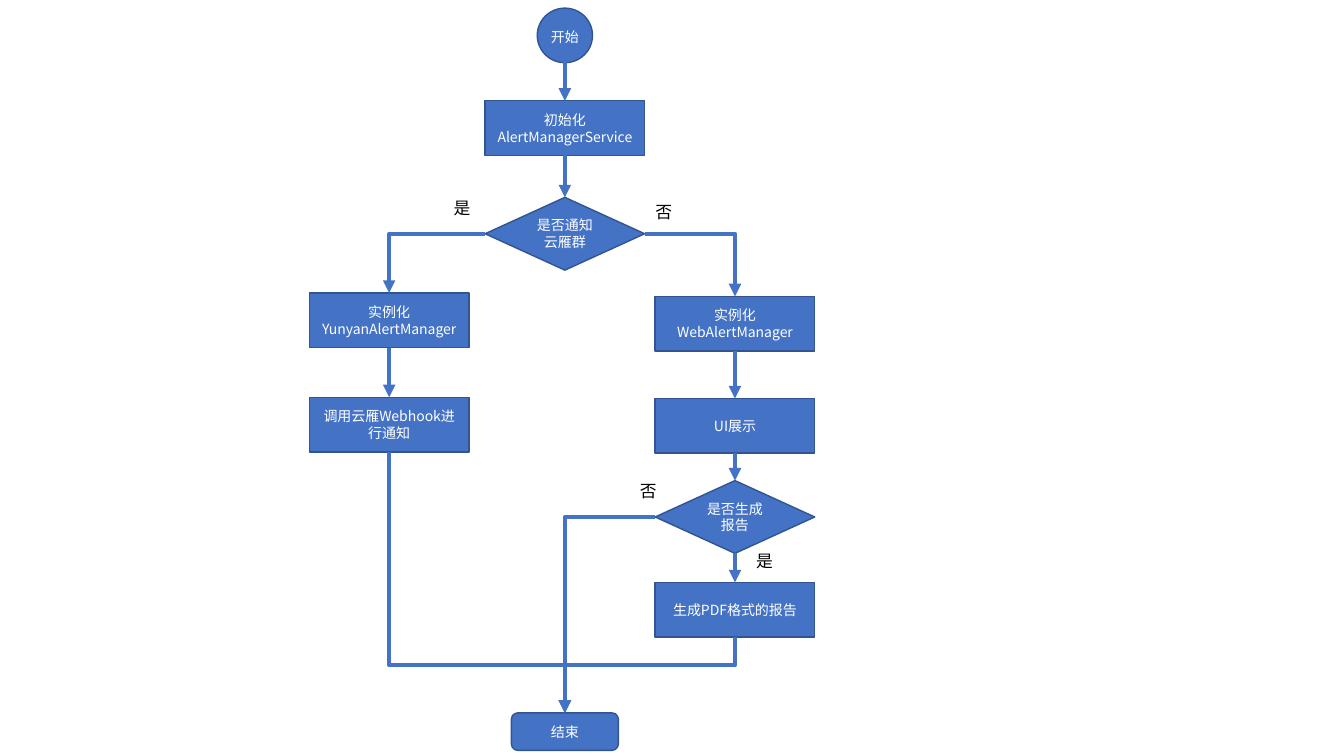
from lxml.etree import SubElement
from pptx import Presentation
from pptx.dml.color import RGBColor
from pptx.enum.shapes import MSO_CONNECTOR, MSO_SHAPE
from pptx.enum.text import MSO_ANCHOR, MSO_AUTO_SIZE, PP_ALIGN
from pptx.oxml.ns import qn
from pptx.util import Pt

TOP, LEFT, BOTTOM, RIGHT = range(4)
LEFT_COLUMN, MIDDLE_COLUMN, RIGHT_COLUMN = 278, 403.5, 525
MERGE_Y = 475.2


def color(hex_string):
    return RGBColor.from_string(hex_string)


class FlowPage:
    font_name = "Noto Sans CJK SC"
    fill, outline = "4472C4", "325491"
    white, black = "FFFFFF", "000000"

    def __init__(self, page):
        self.shapes = page.shapes

    def set_text(self, frame, text, size, ink, align):
        frame.word_wrap = True
        para = frame.paragraphs[0]
        para.text = text
        para.alignment = align
        para.font.name = self.font_name
        para.font.size = Pt(size)
        para.font.color.rgb = color(ink)
        defaults = para._p.pPr.find(qn("a:defRPr"))
        SubElement(defaults, qn("a:ea"), typeface=self.font_name)

    def node(self, kind, center, top, width, height, text=""):
        """Add a flowchart shape centred on a column."""
        box = self.shapes.add_shape(kind, Pt(center - width / 2), Pt(top), Pt(width), Pt(height))
        box.shadow.inherit = False
        box.fill.solid()
        box.fill.fore_color.rgb = color(self.fill)
        box.line.color.rgb = color(self.outline)
        box.line.width = Pt(1)
        if text:
            box.text_frame.vertical_anchor = MSO_ANCHOR.MIDDLE
            self.set_text(box.text_frame, text, 10, self.white, PP_ALIGN.CENTER)
        return box

    def step(self, center, top, text):
        return self.node(MSO_SHAPE.RECTANGLE, center, top, 114, 39, text)

    def decision(self, center, top, text):
        return self.node(MSO_SHAPE.FLOWCHART_DECISION, center, top, 114, 52, text)

    def label(self, left, top, width, height, text, size=12, ink=black, align=PP_ALIGN.LEFT):
        box = self.shapes.add_textbox(Pt(left), Pt(top), Pt(width), Pt(height))
        self.set_text(box.text_frame, text, size, ink, align)
        box.text_frame.auto_size = MSO_AUTO_SIZE.SHAPE_TO_FIT_TEXT

    def connector(self, kind, begin=(0, 0)):
        link = self.shapes.add_connector(kind, *map(Pt, begin), *map(Pt, begin))
        link.line.color.rgb = color(self.fill)
        link.line.width = Pt(3)
        properties = link.element.spPr
        SubElement(properties.find(qn("a:ln")), qn("a:tailEnd"), type="triangle")
        SubElement(properties, qn("a:effectLst"))
        return link

    def arrow_down(self, source, target):
        link = self.connector(MSO_CONNECTOR.STRAIGHT)
        link.begin_connect(source, BOTTOM)
        link.end_connect(target, TOP)

    def arrow_across(self, source, side, target):
        """Leave sideways, turn once and enter the target from above."""
        link = self.connector(MSO_CONNECTOR.ELBOW)
        link.begin_connect(source, side)
        link.end_connect(target, TOP)
        link.element.spPr.find(qn("a:prstGeom")).set("prst", "bentConnector2")

    def arrow_merge(self, source, target, turn_y):
        """Leave downwards, run level at turn_y and enter the target from above."""
        link = self.connector(MSO_CONNECTOR.ELBOW)
        link.begin_connect(source, BOTTOM)
        link.end_connect(target, TOP)
        run, drop = link.end_x - link.begin_x, link.end_y - link.begin_y
        center_x, center_y = link.begin_x + run // 2, link.begin_y + drop // 2
        ratio = (Pt(turn_y) - link.begin_y) / drop

        # A level-first elbow turned by 90 degrees starts downwards.
        link.left, link.top = center_x - drop // 2, center_y - abs(run) // 2
        link.width, link.height = drop, abs(run)
        frame = link.element.spPr.find(qn("a:xfrm"))
        frame.set("rot", str(90 * 60000))
        frame.set("flipH", "0")
        frame.set("flipV", str(int(run > 0)))
        geometry = link.element.spPr.find(qn("a:prstGeom"))
        guides = geometry.find(qn("a:avLst"))
        if guides is None:
            guides = SubElement(geometry, qn("a:avLst"))
        SubElement(guides, qn("a:gd"), name="adj1", fmla=f"val {round(ratio * 100000)}")


def main():
    deck = Presentation()
    deck.slide_width, deck.slide_height = Pt(960), Pt(540)
    flow = FlowPage(deck.slides.add_slide(deck.slide_layouts[6]))

    flow.node(MSO_SHAPE.OVAL, MIDDLE_COLUMN, 5.8, 39.5, 39)
    flow.label(383.75, 16.6, 39.5, 19.4, "开始", 10, flow.white, PP_ALIGN.CENTER)
    initialize = flow.step(MIDDLE_COLUMN, 72, "初始化AlertManagerService")
    notify = flow.decision(MIDDLE_COLUMN, 141, "是否通知云雁群")
    group_manager = flow.step(LEFT_COLUMN, 209.3, "实例化YunyanAlertManager")
    webhook = flow.step(LEFT_COLUMN, 283.8, "调用云雁Webhook进行通知")
    web_manager = flow.step(RIGHT_COLUMN, 211.7, "实例化WebAlertManager")
    display = flow.step(RIGHT_COLUMN, 284.6, "UI展示")
    report = flow.decision(RIGHT_COLUMN, 343.3, "是否生成报告")
    pdf = flow.step(RIGHT_COLUMN, 416, "生成PDF格式的报告")
    finish = flow.node(MSO_SHAPE.ROUNDED_RECTANGLE, MIDDLE_COLUMN, 509.2, 76.4, 26.8, "结束")

    first_arrow = flow.connector(MSO_CONNECTOR.STRAIGHT, (MIDDLE_COLUMN, 43.5))
    first_arrow.end_connect(initialize, TOP)
    for source, target in [
        (initialize, notify),
        (group_manager, webhook),
        (web_manager, display),
        (display, report),
        (report, pdf),
    ]:
        flow.arrow_down(source, target)
    flow.arrow_across(notify, LEFT, group_manager)
    flow.arrow_across(notify, RIGHT, web_manager)
    flow.arrow_across(report, LEFT, finish)
    for source in (pdf, webhook):
        flow.arrow_merge(source, finish, MERGE_Y)

    for left, top, answer in [
        (317, 137.5, "是"),
        (461, 140.4, "否"),
        (533, 390.2, "是"),
        (450, 339.8, "否"),
    ]:
        flow.label(left, top, 36, 21.6, answer)

    deck.save("out.pptx")


if __name__ == "__main__":
    main()
